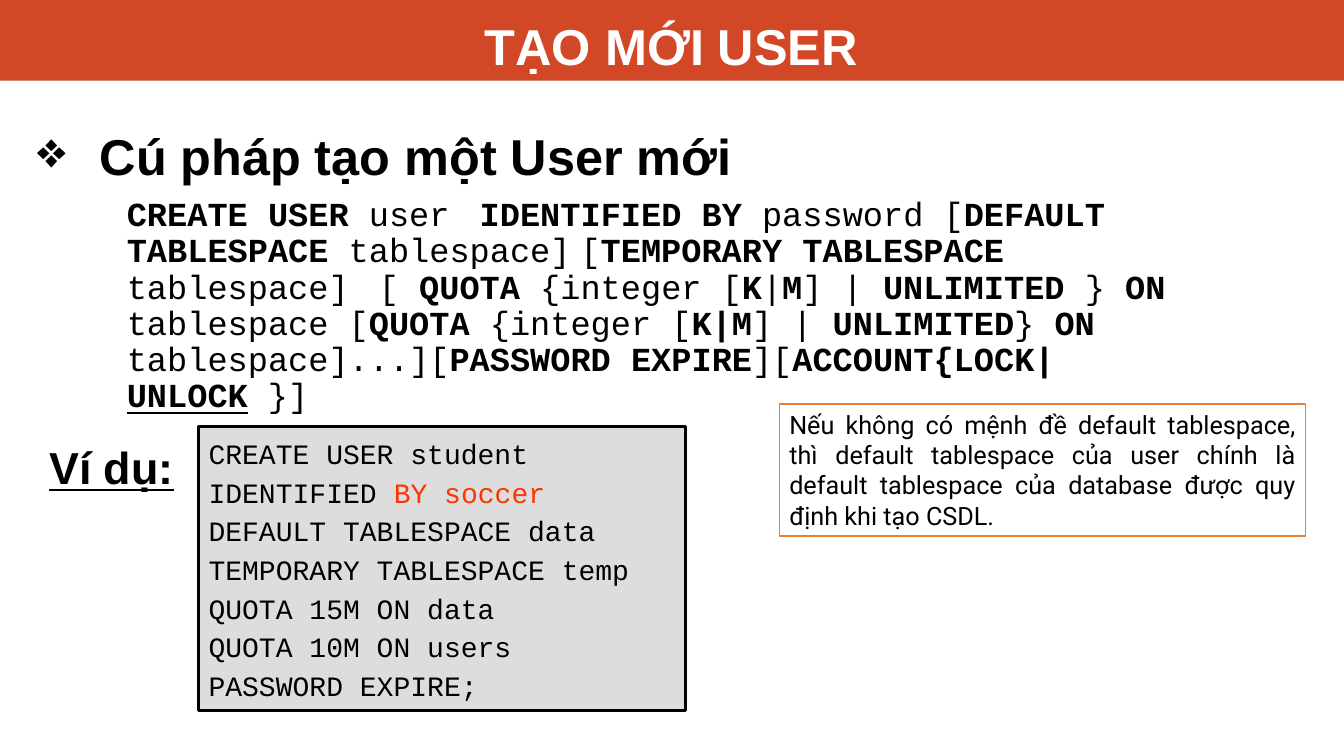
from pptx import Presentation
from pptx.dml.color import RGBColor
from pptx.enum.shapes import MSO_SHAPE
from pptx.enum.text import MSO_ANCHOR, PP_ALIGN
from pptx.oxml.ns import qn
from pptx.util import Inches, Pt
from lxml import etree

RECT = MSO_SHAPE.RECTANGLE
TOP, BOTTOM = MSO_ANCHOR.TOP, MSO_ANCHOR.BOTTOM
LEFT, CENTER, JUSTIFY = PP_ALIGN.LEFT, PP_ALIGN.CENTER, PP_ALIGN.JUSTIFY

COLORS = {"banner": "D24726", "white": "FFFFFF", "black": "000000",
          "code": "DDDDDD", "accent": "FF3300", "note": "ED7D31"}

TITLE = "TẠO MỚI USER"
HEADING = "Cú pháp tạo một User mới"
EXAMPLE = "Ví dụ:"
NOTE = ("Nếu không có mệnh đề default tablespace, thì default tablespace của user "
        "chính là default tablespace của database được quy định khi tạo CSDL.")
# Keywords and plain parts alternate, starting with a keyword.
SYNTAX = [
    "CREATE USER ", "user\t", "IDENTIFIED BY ", "password [",
    "DEFAULT TABLESPACE ", "tablespace]\t[", "TEMPORARY TABLESPACE ",
    "tablespace]\t[ ", "QUOTA", " {integer [", "K", "|", "M", "] | ",
    "UNLIMITED", " } ", "ON ", "tablespace [", "QUOTA ", "{integer [",
    "K|M", "] | ", "UNLIMITED", "} ", "ON ", "tablespace]...][",
    "PASSWORD EXPIRE", "][", "ACCOUNT{LOCK|",
]
SYNTAX_DEFAULT, SYNTAX_END = "UNLOCK", " }]"
CODE = [
    ["CREATE USER student"],
    ["IDENTIFIED ", "BY soccer"],
    ["DEFAULT TABLESPACE data"],
    ["TEMPORARY TABLESPACE temp"],
    ["QUOTA 15M ON data"],
    ["QUOTA 10M ON users"],
    ["PASSWORD EXPIRE;"],
]


def rgb(name):
    return RGBColor.from_string(COLORS[name])


def setup_frame(s, anchor=TOP):
    tf = s.text_frame
    tf.word_wrap = True
    tf.vertical_anchor = anchor
    return tf


def style(p, font, size, color="black", bold=False, align=LEFT):
    p.alignment = align
    p.font.name, p.font.size, p.font.bold = font, Pt(size), bold
    p.font.color.rgb = rgb(color)


def add_run(p, text):
    r = p.add_run()
    r.text = text
    return r


def add_text(box, anchor=TOP):
    return setup_frame(slide.shapes.add_textbox(*map(Inches, box)), anchor)


def add_box(box, fill, line=None, width=1):
    s = slide.shapes.add_shape(RECT, *map(Inches, box))
    s.shadow.inherit = False
    s.fill.solid()
    s.fill.fore_color.rgb = rgb(fill)
    if line:
        s.line.color.rgb = rgb(line)
        s.line.width = Pt(width)
    else:
        s.line.fill.background()
    return s


prs = Presentation()
prs.slide_width, prs.slide_height = Inches(13.33), Inches(7.5)
slide = prs.slides.add_slide(prs.slide_layouts[5])

banner = add_box((0, 0, 13.33, 0.8), "banner")
title = slide.shapes.title
banner.element.addnext(title.element)
title.left, title.top, title.width, title.height = map(Inches, (0.19, 0, 12.94, 0.8))
p = setup_frame(title, BOTTOM).paragraphs[0]
p.text = TITLE
style(p, "Arial", 36, "white", True, CENTER)

p = add_text((0.27, 0.93, 8, 0.96), BOTTOM).paragraphs[0]
p.text = HEADING
style(p, "Arial", 36, bold=True)
pPr = p._p.get_or_add_pPr()
pPr.set("marL", str(Inches(0.62)))
pPr.set("indent", str(-Inches(0.62)))
bullet = etree.Element(qn("a:buChar"), char="❖")
pPr.insert_element_before(bullet, "a:tabLst", "a:defRPr", "a:extLst")

p = add_text((0.66, 1.91, 11.34, 2.88)).paragraphs[0]
style(p, "Courier New", 24)
p.line_spacing = 0.9
p._p.get_or_add_pPr().set("marL", str(Inches(0.5)))
for i, part in enumerate(SYNTAX):
    add_run(p, part).font.bold = i % 2 == 0
r = add_run(p, SYNTAX_DEFAULT)
r.font.bold = r.font.underline = True
add_run(p, SYNTAX_END)

tf = setup_frame(add_box((1.97, 4.23, 4.83, 2.82), "code", "black", 2.25))
for i, parts in enumerate(CODE):
    p = tf.add_paragraph() if i else tf.paragraphs[0]
    style(p, "Courier New", 20)
    p.line_spacing = 1.15
    for part, color in zip(parts, ("black", "accent")):
        add_run(p, part).font.color.rgb = rgb(color)

p = add_text((0.39, 3.99, 8, 0.96), BOTTOM).paragraphs[0]
p.text = EXAMPLE
style(p, "Arial", 32, bold=True)
p.font.underline = True

p = setup_frame(add_box((7.73, 4.01, 5.22, 1.31), "white", "note")).paragraphs[0]
p.text = NOTE
style(p, "Roboto", 18, align=JUSTIFY)

prs.save("out.pptx")
